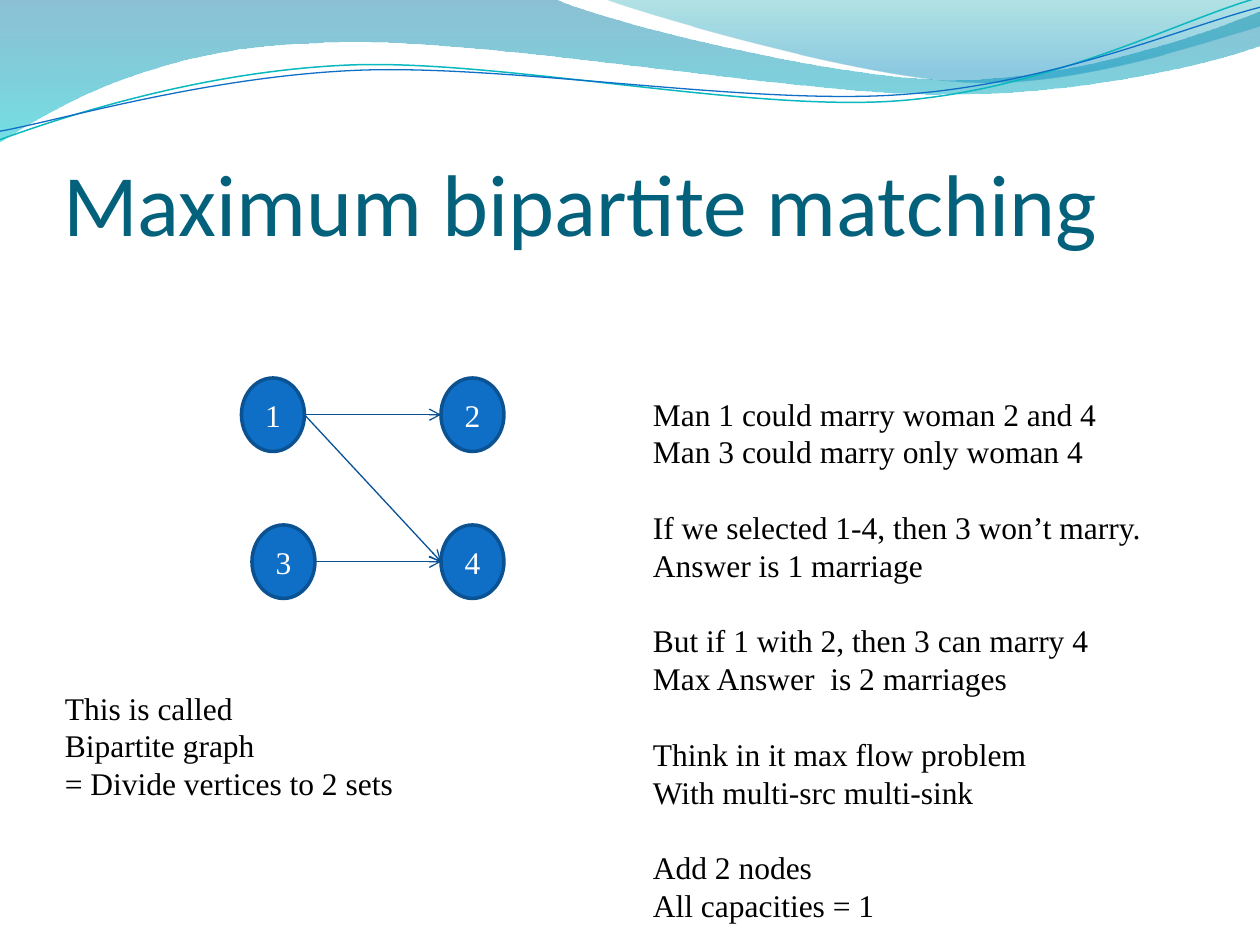
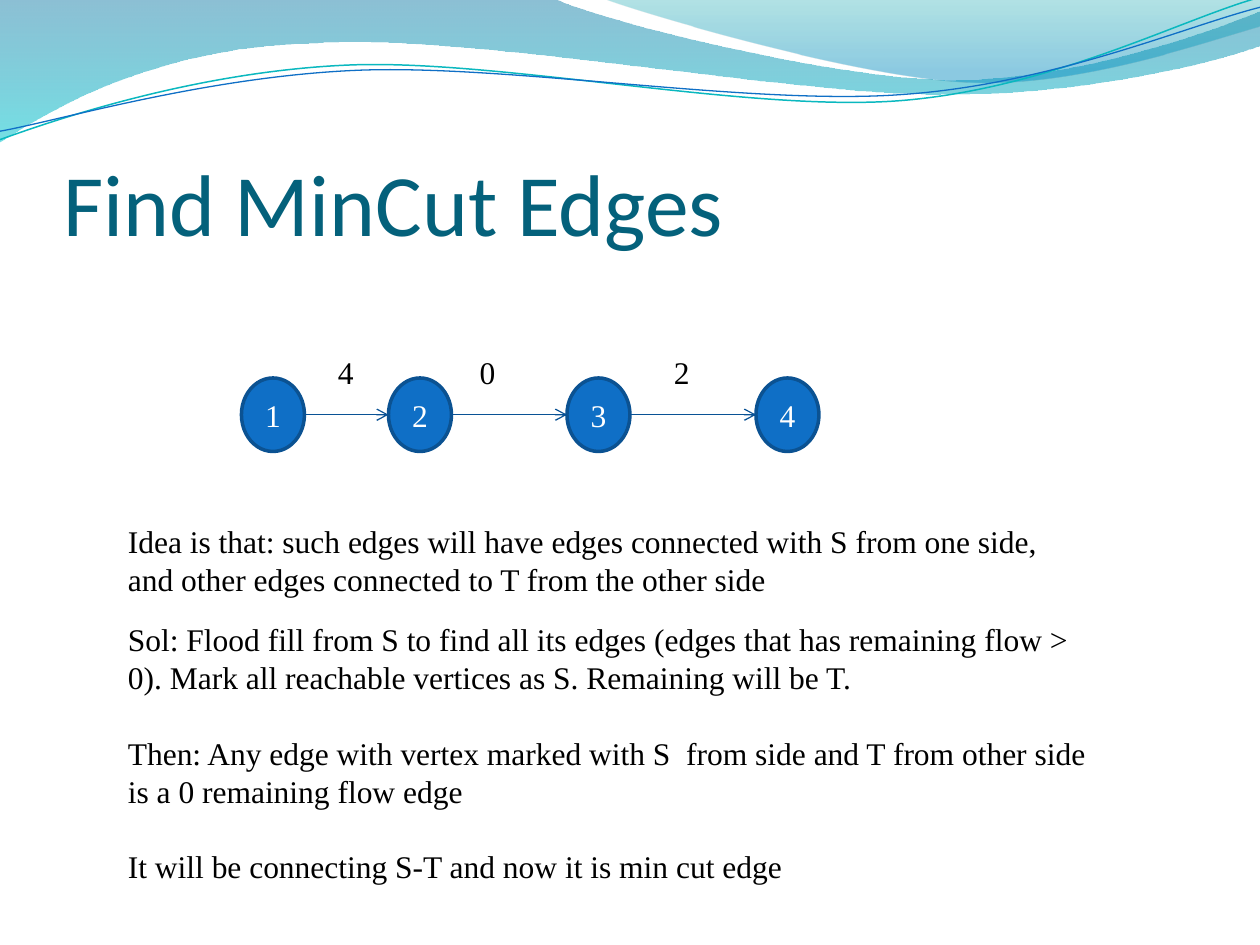
from lxml.etree import SubElement
from pptx import Presentation
from pptx.dml.color import RGBColor
from pptx.enum.shapes import MSO_CONNECTOR, MSO_SHAPE
from pptx.enum.text import MSO_ANCHOR, MSO_AUTO_SIZE, PP_ALIGN
from pptx.oxml.ns import qn
from pptx.util import Pt

PX = 7620
NODE_WIDTH, NODE_HEIGHT = 60, 70
LINE_HEIGHT = Pt(21.6)
COLORS = {
    "title": "04617B",
    "text": "000000",
    "node": "0F6FC6",
    "node_line": "0B5292",
    "node_text": "FFFFFF",
    "edge": "095295",
    "teal_line": "0AB8BF",
    "blue_line": "0F6FC6",
    "band_top": "0074A1",
    "band_bottom": "00C6CF",
    "crest_top": "00A1A9",
    "crest_bottom": "008BBF",
}

BANDS = [
    {
        "start": (0, 0),
        "segments": [
            [(528, -1)],
            [(571, 20), (797, 76), (910, 76)],
            [(1024, 76), (1150, 31), (1200, 11)],
            [(1201, 43)],
            [(1180, 53), (1044, 91), (895, 90)],
            [(746, 90), (458, 34), (308, 41)],
            [(155, 43), (55, 100), (-1, 136)],
        ],
        "stops": [(0, "band_top", 45), (1, "band_bottom", 55)],
    },
    {
        "start": (575, -1),
        "segments": [
            [(611, 13), (818, 74), (923, 78)],
            [(1027, 83), (1153, 38), (1200, 25)],
            [(1200, 0)],
        ],
        "stops": [(0, "crest_top", 30), (0.8, "crest_bottom", 45)],
    },
    {
        "start": (0, 133),
        "segments": [
            [(58, 112), (190, 68), (332, 62)],
            [(474, 56), (712, 107), (856, 96)],
            [(1000, 85), (1126, 18), (1198, -2)],
        ],
        "line": ("teal_line", 0.85),
    },
    {
        "start": (0, 125),
        "segments": [
            [(56, 115), (197, 73), (340, 67)],
            [(484, 61), (716, 101), (860, 90)],
            [(1003, 80), (1129, 25), (1200, 7)],
        ],
        "line": ("blue_line", 0.75),
    },
]

PAGES = [
    {
        "title": "Maximum bipartite matching",
        "nodes": {"1": (230, 360), "2": (420, 360), "3": (240, 500), "4": (420, 500)},
        "edges": [("1", "2"), ("3", "4"), ("1", "4")],
        "labels": [],
        "notes": [
            ((610, 370, 493, 521), False, [
                ["Man 1 could marry woman 2 and 4", "Man 3 could marry only woman 4"],
                ["If we selected 1-4, then 3 won’t marry.", "Answer is 1 marriage"],
                ["But if 1 with 2, then 3 can marry 4", "Max Answer  is 2 marriages"],
                ["Think in it max flow problem", "With multi-src multi-sink"],
                ["Add 2 nodes", "All capacities = 1"],
            ]),
            ((50, 650, 340, 157), False, [
                ["This is called", "Bipartite graph", "= Divide vertices to 2 sets"],
            ]),
        ],
    },
    {
        "title": "Find MinCut Edges",
        "nodes": {"1": (230, 360), "2": (370, 360), "3": (540, 360), "4": (720, 360)},
        "edges": [("1", "2"), ("2", "3"), ("3", "4")],
        "labels": [("4", 310), ("0", 445), ("2", 630)],
        "notes": [
            ((110, 491, 940, 85), True, [
                ["Idea is that: such edges will have edges connected with S from one side, "
                 "and other edges connected to T from the other side"],
            ]),
            ((110, 585, 940, 266), True, [
                ["Sol: Flood fill from S to find all its edges (edges that has remaining "
                 "flow > 0). Mark all reachable vertices as S. Remaining will be T."],
                ["Then: Any edge with vertex marked with S  from side and T from other side "
                 "is a 0 remaining flow edge"],
                ["It will be connecting S-T and now it is min cut edge"],
            ]),
        ],
    },
]


def color(name):
    return RGBColor.from_string(COLORS[name])


def write(frame, groups, color_name, align=PP_ALIGN.LEFT):
    frame.text = "\n".join(line for group in groups for line in group)
    paras = iter(frame.paragraphs)
    for group_index, group in enumerate(groups):
        for line_index in range(len(group)):
            para = next(paras)
            para.alignment = align
            para.line_spacing = LINE_HEIGHT
            if group_index and not line_index:
                para.space_before = LINE_HEIGHT
            for span in para.runs:
                span.font.name = "Times New Roman"
                span.font.size = Pt(18)
                span.font.color.rgb = color(color_name)


deck = Presentation()
deck.slide_width, deck.slide_height = 1200 * PX, 900 * PX
layout = deck.slide_layouts.get_by_name("Title Only")
layout_title = layout.placeholders[0]
layout_title.left, layout_title.top = 60 * PX, 92 * PX
layout_title.width, layout_title.height = 1080 * PX, 150 * PX

for content in PAGES:
    page = deck.slides.add_slide(layout)
    title = page.shapes.title
    frame = title.text_frame
    frame.text = content["title"]
    frame.auto_size = MSO_AUTO_SIZE.NONE
    frame.vertical_anchor = MSO_ANCHOR.BOTTOM
    frame.margin_left = frame.margin_right = frame.margin_bottom = 0
    frame.margin_top = 6 * PX
    para = frame.paragraphs[0]
    para.alignment = PP_ALIGN.LEFT
    span = para.runs[0]
    span.font.name = "Calibri"
    span.font.size = Pt(50)
    span.font.color.rgb = color("title")

    for name, (left, top) in content["nodes"].items():
        node = page.shapes.add_shape(
            MSO_SHAPE.OVAL, left * PX, top * PX, NODE_WIDTH * PX, NODE_HEIGHT * PX
        )
        node.shadow.inherit = False
        node.fill.solid()
        node.fill.fore_color.rgb = color("node")
        node.line.color.rgb = color("node_line")
        node.line.width = Pt(2)
        node.text_frame.vertical_anchor = MSO_ANCHOR.MIDDLE
        write(node.text_frame, [[name]], "node_text", PP_ALIGN.CENTER)

    for source, target in content["edges"]:
        source_left, source_top = content["nodes"][source]
        target_left, target_top = content["nodes"][target]
        edge = page.shapes.add_connector(
            MSO_CONNECTOR.STRAIGHT,
            (source_left + NODE_WIDTH) * PX,
            (source_top + NODE_HEIGHT // 2) * PX,
            target_left * PX,
            (target_top + NODE_HEIGHT // 2) * PX,
        )
        edge.line.color.rgb = color("edge")
        edge.line.width = Pt(0.75)
        properties = edge.element.spPr
        SubElement(properties.find(qn("a:ln")), qn("a:tailEnd")).set("type", "arrow")
        SubElement(properties, qn("a:effectLst"))

    labels = [((left, 330, 40, 48), False, [[text]]) for text, left in content["labels"]]
    for bounds, wraps, groups in labels + content["notes"]:
        box = page.shapes.add_textbox(*(length * PX for length in bounds))
        box.text_frame.word_wrap = wraps
        box.text_frame.auto_size = MSO_AUTO_SIZE.SHAPE_TO_FIT_TEXT
        write(box.text_frame, groups, "text")

first_page = deck.slides[0]
for position, band in enumerate(BANDS, start=2):
    builder = first_page.shapes.build_freeform(*band["start"], scale=PX)
    points = [point for segment in band["segments"] for point in segment]
    builder.add_line_segments(points, close="stops" in band)
    wave = builder.convert_to_shape()
    wave.shadow.inherit = False

    strokes = iter(list(wave.element.iter(qn("a:lnTo"))))
    for segment in band["segments"]:
        stroke = next(strokes)
        if len(segment) == 3:
            stroke.tag = qn("a:cubicBezTo")
            for _ in range(2):
                extra = next(strokes)
                stroke.append(extra[0])
                extra.getparent().remove(extra)

    if "stops" in band:
        wave.line.fill.background()
        wave.fill.gradient()
        wave.fill.gradient_angle = 270
        for stop, (place, name, _) in zip(wave.fill.gradient_stops, band["stops"]):
            stop.position = place
            stop.color.rgb = color(name)
        tints = list(wave.element.iter(qn("a:srgbClr")))
        for tint, (_, _, opacity) in zip(tints, band["stops"]):
            SubElement(tint, qn("a:alpha")).set("val", str(opacity * 1000))
    else:
        name, width = band["line"]
        wave.fill.background()
        wave.line.color.rgb = color(name)
        wave.line.width = Pt(width)
    layout.shapes.element.insert(position, wave.element)

deck.save("out.pptx")
